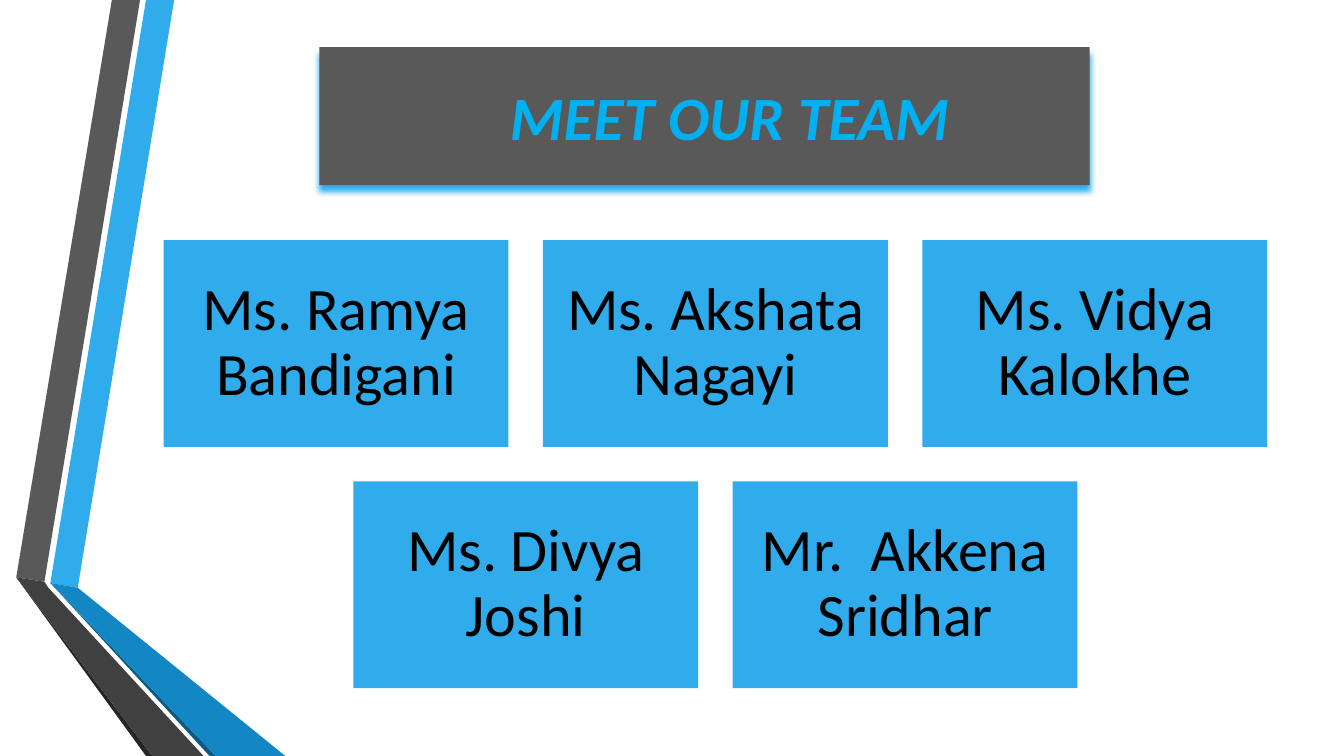
import dataclasses

import lxml.etree
import pptx
import pptx.dml.color
import pptx.enum.shapes
import pptx.enum.text
import pptx.oxml.ns
import pptx.util

Cm = pptx.util.Cm
ALIGN = pptx.enum.text.PP_ALIGN
ANCHOR = pptx.enum.text.MSO_ANCHOR


@dataclasses.dataclass(frozen=True)
class Theme:
    font: str = "Calibri"
    blue: str = "30ACEC"
    blue_shade: str = "1287C3"
    blue_deep: str = "0C5A82"
    grey: str = "595959"
    grey_shade: str = "404040"
    grey_deep: str = "262626"
    title_ink: str = "00B0F0"
    card_ink: str = "000000"
    title_size: int = 44
    tab_size: int = 40
    card_size: int = 43


def apply(target, formats):
    for name, value in formats.items():
        setattr(target, name, value)


class SlideBuilder:
    def __init__(self, slide, theme):
        self.slide = slide
        self.theme = theme

    def paint(self, shape, color):
        shape.fill.solid()
        shape.fill.fore_color.rgb = pptx.dml.color.RGBColor.from_string(color)
        shape.line.fill.background()
        shape.shadow.inherit = False

    def ribbon(self, color, corners):
        points = [(Cm(x), Cm(y)) for x, y in corners]
        outline = self.slide.shapes.build_freeform(*points[0], scale=1.0)
        outline.add_line_segments(points[1:], close=True)
        self.paint(outline.convert_to_shape(), color)

    def box(self, left, top, width, height, color, inset):
        panel = self.slide.shapes.add_shape(
            pptx.enum.shapes.MSO_SHAPE.RECTANGLE,
            Cm(left), Cm(top), Cm(width), Cm(height))
        self.paint(panel, color)
        apply(panel.text_frame, {
            "word_wrap": True, "vertical_anchor": ANCHOR.MIDDLE,
            "margin_left": Cm(inset), "margin_right": Cm(inset),
            "margin_top": Cm(inset), "margin_bottom": Cm(inset)})
        return panel

    def label(self, panel, text, color, **formats):
        paragraph = panel.text_frame.paragraphs[0]
        paragraph.alignment = ALIGN.CENTER
        run = paragraph.add_run()
        run.text = text
        apply(run.font, {"name": self.theme.font, **formats})
        run.font.color.rgb = pptx.dml.color.RGBColor.from_string(color)
        return paragraph

    def glow_below(self, panel, color):
        qn = pptx.oxml.ns.qn
        effects = panel._element.spPr.find(qn("a:effectLst"))
        shadow = lxml.etree.SubElement(
            effects, qn("a:outerShdw"), blurRad=str(pptx.util.Pt(4)),
            dist=str(pptx.util.Pt(4)), dir="5400000", rotWithShape="0")
        lxml.etree.SubElement(shadow, qn("a:srgbClr"), val=color)

    def title(self, text):
        theme = self.theme
        banner = self.box(8.05, 1.19, 19.41, 3.48, theme.grey, 0.25)
        self.glow_below(banner, theme.blue)
        self.label(banner, "\t", theme.card_ink,
                   size=pptx.util.Pt(theme.tab_size))
        self.label(banner, text, theme.title_ink, bold=True, italic=True,
                   size=pptx.util.Pt(theme.title_size))

    def card(self, left, top, width, height, member):
        theme = self.theme
        panel = self.box(left, top, width, height, theme.blue, 0.46)
        paragraph = self.label(panel, member, theme.card_ink,
                               size=pptx.util.Pt(theme.card_size))
        paragraph.line_spacing = 0.9

    def team(self, rows):
        width, height, gap = 8.69, 5.21, 0.87
        center, first_top = 18.03, 6.05
        for row, members in enumerate(rows):
            count = len(members)
            left = center - (count * width + (count - 1) * gap) / 2
            top = first_top + row * (height + gap)
            for column, member in enumerate(members):
                self.card(left + column * (width + gap), top,
                          width, height, member)


def main():
    deck = pptx.Presentation()
    deck.slide_width, deck.slide_height = Cm(33.87), Cm(19.05)
    theme = Theme()
    builder = SlideBuilder(deck.slides.add_slide(deck.slide_layouts[6]), theme)

    # Folded ribbons along the left edge
    bottom = 19.05
    blue_fold, grey_fold = (1.27, 14.69), (0.41, 14.55)
    blue_bend, grey_bend = (1.96, 14.81), (1.12, 14.66)
    ribbons = [
        (theme.blue, [blue_fold, blue_bend, (4.39, 0), (3.68, 0)]),
        (theme.grey, [(3.53, 0), (2.82, 0), grey_fold, grey_bend]),
        (theme.grey_deep, [grey_fold, (3.68, bottom), (3.84, bottom)]),
        (theme.blue_deep, [blue_fold, (5.28, bottom), (5.44, bottom)]),
        (theme.blue_shade, [blue_fold, (5.44, bottom), (7.19, bottom),
                            blue_bend]),
        (theme.grey_shade, [(5.13, bottom), (1.22, 14.81), grey_bend,
                            grey_fold, (3.84, bottom)]),
    ]
    for color, corners in ribbons:
        builder.ribbon(color, corners)

    # Title banner
    builder.title("MEET OUR TEAM")

    # Team cards, each row centred
    builder.team([
        ["Ms. Ramya Bandigani", "Ms. Akshata Nagayi", "Ms. Vidya Kalokhe"],
        ["Ms. Divya Joshi", "Mr.  Akkena Sridhar"],
    ])

    deck.save("out.pptx")


if __name__ == "__main__":
    main()
